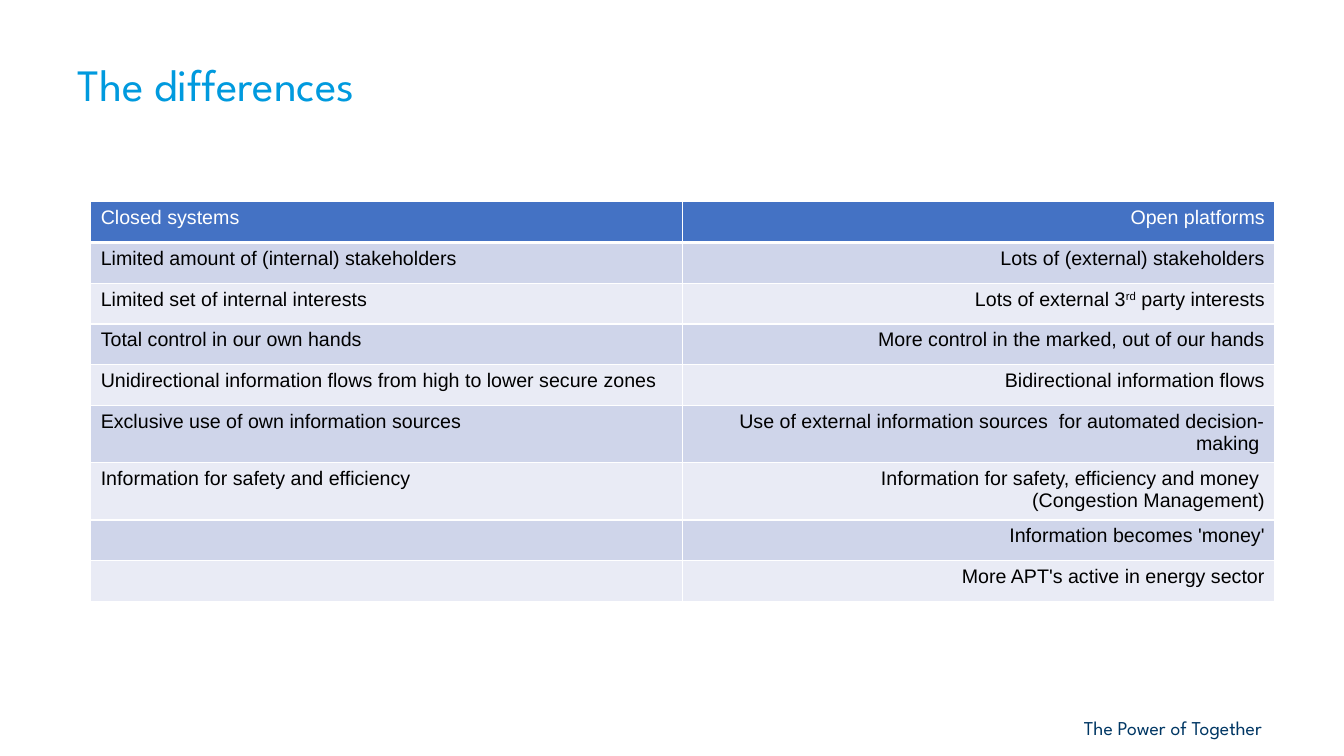
from lxml import etree
from pptx import Presentation
from pptx.dml.color import RGBColor
from pptx.enum.text import MSO_ANCHOR, PP_ALIGN
from pptx.oxml.ns import qn
from pptx.util import Inches, Pt

LEFT, RIGHT = PP_ALIGN.LEFT, PP_ALIGN.RIGHT
TOP, MIDDLE = MSO_ANCHOR.TOP, MSO_ANCHOR.MIDDLE

COLORS = {
    "title": "009ADE",
    "slogan": "003764",
    "header": "4472C4",
    "dark band": "CFD5EA",
    "light band": "E9EBF5",
    "white": "FFFFFF",
    "black": "000000",
}
HEADING_FONT, TABLE_FONT = "League Spartan", "Arial"

# A cell is a string or a list of paragraphs, each a list of (text, baseline) spans.
COMPARISON = [
    ("Closed systems", "Open platforms"),
    ("Limited amount of (internal) stakeholders", "Lots of (external) stakeholders"),
    ("Limited set of internal interests",
     [[("Lots of external 3", 0), ("rd", 30), (" party interests", 0)]]),
    ("Total control in our own hands", "More control in the marked, out of our hands"),
    ("Unidirectional information flows from high to lower secure zones",
     "Bidirectional information flows"),
    ("Exclusive use of own information sources",
     "Use of external information sources  for automated decision-making "),
    ("Information for safety and efficiency",
     [[("Information for safety, efficiency and money ", 0)],
      [("(Congestion Management)", 0)]]),
    ("", "Information becomes 'money'"),
    ("", "More APT's active in energy sector"),
]


class SlideBuilder:
    """Draws on one slide; lengths are percentages of its width and height."""

    def __init__(self):
        self.deck = Presentation()
        self.deck.slide_width = Inches(13.33)
        self.deck.slide_height = Inches(7.5)
        self.page = self.deck.slides.add_slide(self.deck.slide_layouts[6])

    def across(self, share):
        return round(self.deck.slide_width * share / 100)

    def down(self, share):
        return round(self.deck.slide_height * share / 100)

    def area(self, left, top, width, height):
        return self.across(left), self.down(top), self.across(width), self.down(height)

    def fill_text(self, frame, content, font, size, color, align=LEFT):
        """Fill a text frame from a plain string or a list of paragraphs."""
        paragraphs = [[(content, 0)]] if isinstance(content, str) else content
        for index, spans in enumerate(paragraphs):
            para = frame.add_paragraph() if index else frame.paragraphs[0]
            para.alignment = align
            for text, baseline in spans:
                if not text:
                    continue
                span = para.add_run()
                span.text = text
                span.font.name = font
                span.font.size = Pt(size)
                span.font.bold = False
                span.font.color.rgb = RGBColor.from_string(COLORS[color])
                if baseline:
                    span.font._element.set("baseline", str(baseline * 1000))

    def text(self, content, area, size, color, anchor=TOP, line_spacing=1.0):
        box = self.page.shapes.add_textbox(*self.area(*area))
        frame = box.text_frame
        frame.word_wrap = True
        frame.vertical_anchor = anchor
        self.fill_text(frame, content, HEADING_FONT, size, color)
        frame.paragraphs[0].line_spacing = line_spacing

    def border(self, cell, bottom_width):
        properties = cell._tc.get_or_add_tcPr()
        for side, width in (("L", 1), ("R", 1), ("T", 1), ("B", bottom_width)):
            line = etree.SubElement(properties, qn(f"a:ln{side}"), w=str(Pt(width)))
            fill = etree.SubElement(line, qn("a:solidFill"))
            etree.SubElement(fill, qn("a:srgbClr"), val=COLORS["white"])

    def table(self, rows, left, top, column_width, row_height):
        columns = len(rows[0])
        area = self.area(left, top, column_width * columns, row_height * len(rows))
        grid = self.page.shapes.add_table(len(rows), columns, *area).table
        for column in grid.columns:
            column.width = self.across(column_width)
        for row_index, row in enumerate(rows):
            grid.rows[row_index].height = self.down(row_height)
            is_header = row_index == 0
            band = "dark band" if row_index % 2 else "light band"
            for column_index, content in enumerate(row):
                cell = grid.cell(row_index, column_index)
                self.border(cell, 3 if is_header else 1)
                cell.fill.solid()
                cell.fill.fore_color.rgb = RGBColor.from_string(
                    COLORS["header" if is_header else band])
                self.fill_text(cell.text_frame, content, TABLE_FONT, 14,
                               "white" if is_header else "black",
                               RIGHT if column_index else LEFT)


def main():
    slide = SlideBuilder()
    slide.text("The Power of Together", (79.9, 94, 17.4, 4.5), 14, "slogan")
    slide.text("The differences", (5, 5.07, 89.5, 12.8), 32, "title", MIDDLE, 0.9)
    slide.table(COMPARISON, left=6.75, top=26.67, column_width=44.06, row_height=5.4)
    slide.deck.save("out.pptx")


if __name__ == "__main__":
    main()
